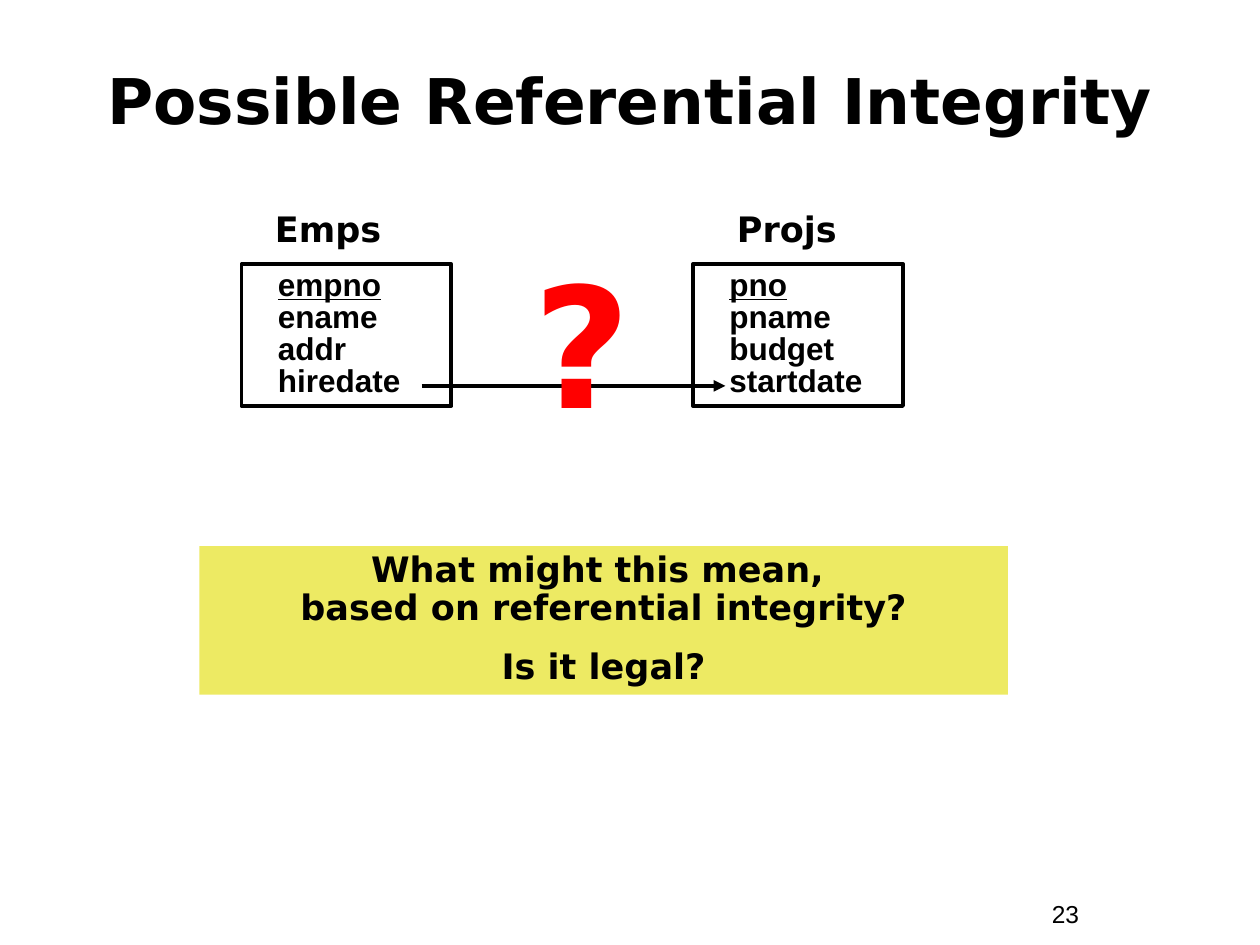
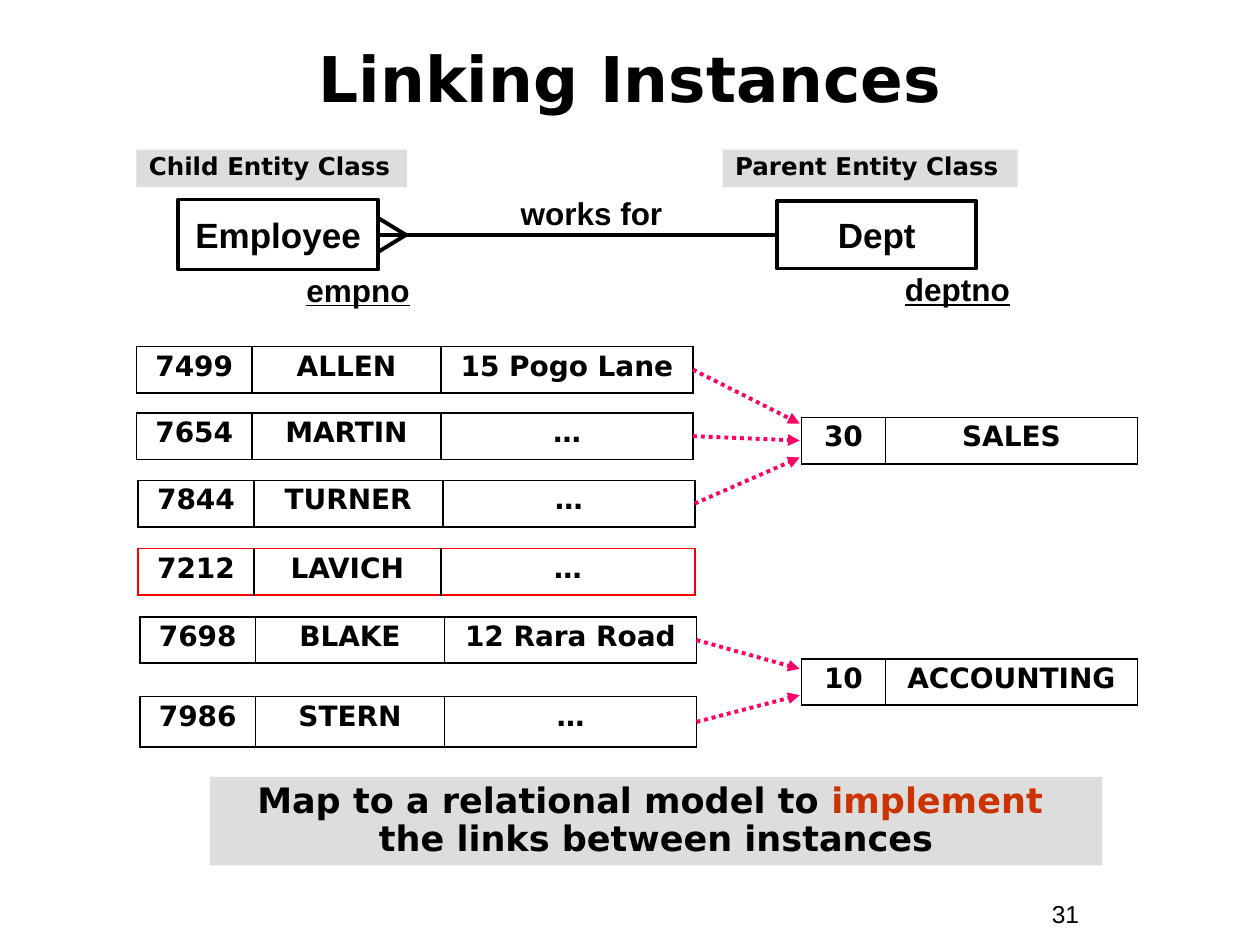
from lxml import etree
from pptx import Presentation
from pptx.dml.color import RGBColor
from pptx.enum.dml import MSO_LINE
from pptx.enum.shapes import MSO_CONNECTOR, MSO_SHAPE
from pptx.enum.text import MSO_ANCHOR, PP_ALIGN
from pptx.oxml.ns import qn
from pptx.util import Pt

BLACK = RGBColor(0x00, 0x00, 0x00)
RED = RGBColor(0xFF, 0x00, 0x00)
PINK = RGBColor(0xFF, 0x00, 0x66)
RUST = RGBColor(0xCC, 0x33, 0x00)
GREY = RGBColor(0xDD, 0xDD, 0xDD)
YELLOW = RGBColor(0xED, 0xEA, 0x63)

SANS = "DejaVu Sans"
ARIAL = "Arial"
LEFT, CENTER = PP_ALIGN.LEFT, PP_ALIGN.CENTER
TOP, MIDDLE = MSO_ANCHOR.TOP, MSO_ANCHOR.MIDDLE
RECT = MSO_SHAPE.RECTANGLE
STRAIGHT = MSO_CONNECTOR.STRAIGHT
DOTTED = MSO_LINE.ROUND_DOT

RULE = 2.25
CELL_RULE = 1.08
EMP_COLS = (66, 108, 144)
DEPT_COLS = (48, 144)
ROW_H = 26.5


def add_run(p, text, size, font=SANS, color=BLACK, bold=True, underline=False):
    r = p.add_run()
    r.text = text
    f = r.font
    f.size, f.name, f.bold, f.underline = Pt(size), font, bold, underline
    f.color.rgb = color


def set_frame(tf, anchor=TOP, wrap=True):
    tf.margin_left = tf.margin_right = Pt(7.2)
    tf.margin_top = tf.margin_bottom = Pt(3.6)
    tf.vertical_anchor = anchor
    tf.word_wrap = wrap


def style_paragraph(p, align=LEFT, spacing=1.0):
    p.alignment = align
    p.line_spacing = spacing
    return p


def add_text(slide, box, text, size, font=SANS, color=BLACK, bold=True,
             underline=False, align=LEFT, spacing=1.0, anchor=TOP):
    tf = slide.shapes.add_textbox(*map(Pt, box)).text_frame
    set_frame(tf, anchor)
    p = style_paragraph(tf.paragraphs[0], align, spacing)
    add_run(p, text, size, font, color, bold, underline)


def add_box(slide, box, fill=None, line=None, anchor=TOP, wrap=True):
    sp = slide.shapes.add_shape(RECT, *map(Pt, box))
    sp.shadow.inherit = False
    if fill is None:
        sp.fill.background()
    else:
        sp.fill.solid()
        sp.fill.fore_color.rgb = fill
    if line is None:
        sp.line.fill.background()
    else:
        sp.line.color.rgb = line
        sp.line.width = Pt(RULE)
    set_frame(sp.text_frame, anchor, wrap)
    return sp.text_frame


def add_line(slide, start, end, color=BLACK, arrow=False, dash=None):
    cx = slide.shapes.add_connector(STRAIGHT, *map(Pt, start + end))
    cx.line.color.rgb = color
    cx.line.width = Pt(RULE)
    if dash is not None:
        cx.line.dash_style = dash
    if arrow:
        tail = etree.SubElement(cx.line._get_or_add_ln(), qn("a:tailEnd"))
        tail.set("type", "triangle")
    etree.SubElement(cx._element.spPr, qn("a:effectLst"))


def add_frame(prs, title, title_top, number):
    slide = prs.slides.add_slide(prs.slide_layouts[6])
    add_text(slide, (24, title_top, 672, 66), title, 36,
             align=CENTER, anchor=MIDDLE)
    add_text(slide, (594, 510, 66, 24), number, 14, ARIAL, bold=False)
    return slide


def add_schema(slide, box, name, name_offset, fields):
    x, y, w, h = box
    add_text(slide, (x + name_offset, y - 36, 96, 32), name, 20)
    tf = add_box(slide, box, line=BLACK)
    for i, field in enumerate(fields):
        p = tf.paragraphs[0] if i == 0 else tf.add_paragraph()
        style_paragraph(p, spacing=0.85)
        p._p.get_or_add_pPr().set("marL", str(Pt(13.7)))
        add_run(p, field, 18, ARIAL, underline=i == 0)


def add_question_panel(slide, box):
    tf = add_box(slide, box, fill=YELLOW)
    p = style_paragraph(tf.paragraphs[0], CENTER, 0.9)
    add_run(p, "What might this mean, ", 20)
    p.add_line_break()
    add_run(p, "based on referential integrity?", 20)
    p = style_paragraph(tf.add_paragraph(), CENTER, 0.9)
    p.space_before = Pt(12.5)
    add_run(p, "Is it legal?", 20)


def add_entity(slide, box, name, key, key_offset):
    x, y, w, h = box
    tf = add_box(slide, box, line=BLACK, anchor=MIDDLE, wrap=False)
    add_run(style_paragraph(tf.paragraphs[0], CENTER), name, 20, ARIAL)
    add_text(slide, (x + key_offset, y + h - 0.5, 84, 27), key, 18, ARIAL,
             underline=True, spacing=0.9)


def add_class_label(slide, box, text):
    tf = add_box(slide, box, fill=GREY)
    add_run(style_paragraph(tf.paragraphs[0], spacing=0.85), text, 14)


def add_relationship(slide, box, name):
    x, y, w, h = box
    mid = y + h / 2
    add_line(slide, (x, mid), (x + w, mid))
    for toe in (y, y + h):
        add_line(slide, (x + 16, mid), (x, toe))
    add_text(slide, (x + 62, mid - 27, 120, 29), name, 18, ARIAL, align=CENTER)


def set_border(cell, colors):
    tcPr = cell._tc.get_or_add_tcPr()
    for i, (side, color) in enumerate(zip("LRTB", colors)):
        ln = etree.Element(qn(f"a:ln{side}"), w=str(Pt(CELL_RULE)))
        fill = etree.SubElement(ln, qn("a:solidFill"))
        etree.SubElement(fill, qn("a:srgbClr"), val=str(color))
        tcPr.insert(i, ln)


def add_record(slide, left, top, cols, values, height=ROW_H, outline=BLACK):
    frame = slide.shapes.add_table(1, len(cols), Pt(left), Pt(top),
                                   Pt(sum(cols)), Pt(height))
    table = frame.table
    table.first_row = table.horz_banding = False
    table.rows[0].height = Pt(height)
    last = len(cols) - 1
    for i, (width, value) in enumerate(zip(cols, values)):
        table.columns[i].width = Pt(width)
        cell = table.cell(0, i)
        cell.fill.background()
        cell.margin_left = cell.margin_right = Pt(7.2)
        cell.margin_top = cell.margin_bottom = Pt(3.6)
        p = style_paragraph(cell.text_frame.paragraphs[0], CENTER, 0.9)
        add_run(p, value, 16)
        set_border(cell, (outline if i == 0 else BLACK,
                          outline if i == last else BLACK, outline, outline))


def add_department(slide, left, top, values, employees, gap):
    add_record(slide, left, top, DEPT_COLS, values)
    mid = top + ROW_H / 2
    for i, (emp_left, emp_top, emp_height, emp_values) in enumerate(employees):
        add_record(slide, emp_left, emp_top, EMP_COLS, emp_values, emp_height)
        port = mid + (i - (len(employees) - 1) / 2) * gap
        add_line(slide, (emp_left + sum(EMP_COLS), emp_top + emp_height / 2),
                 (left - 1, port), PINK, True, DOTTED)


def add_summary(slide, box):
    tf = add_box(slide, box, fill=GREY)
    p = style_paragraph(tf.paragraphs[0], CENTER, 0.9)
    add_run(p, "Map to a relational model to ", 20)
    add_run(p, "implement ", 20, color=RUST)
    p.add_line_break()
    add_run(p, "the links between instances", 20)


def build_integrity(prs):
    slide = add_frame(prs, "Possible Referential Integrity", 24, "23")
    add_schema(slide, (138, 151, 120, 81), "Emps", 12,
               ("empno", "ename", "addr", "hiredate"))
    add_schema(slide, (396, 151, 120, 81), "Projs", 18,
               ("pno", "pname", "budget", "startdate"))
    add_line(slide, (241, 220.5), (414.5, 220.5), arrow=True)
    add_question_panel(slide, (114, 312, 462, 85))
    add_text(slide, (282, 147, 102, 111), "?", 96, color=RED,
             align=CENTER, spacing=0.9)


def build_linking(prs):
    slide = add_frame(prs, "Linking Instances", 11, "31")
    add_department(slide, 458, 238.5, ("30", "SALES"), (
        (78, 198, ROW_H, ("7499", "ALLEN", "15 Pogo Lane")),
        (78, 236, ROW_H, ("7654", "MARTIN", "…")),
        (79, 274.5, ROW_H, ("7844", "TURNER", "…"))), 9.7)
    add_department(slide, 458, 376.5, ("10", "ACCOUNTING"), (
        (80, 352.5, ROW_H, ("7698", "BLAKE", "12 Rara Road")),
        (80, 398, 29, ("7986", "STERN", "…"))), 15)
    add_record(slide, 79, 313.5, (66, 107, 145), ("7212", "LAVICH", "…"),
               outline=RED)
    add_entity(slide, (444, 115, 114, 38.5), "Dept", "deptno", 66)
    add_entity(slide, (102, 114, 114, 40), "Employee", "empno", 66)
    add_relationship(slide, (216, 124.5, 228, 19.5), "works for")
    add_class_label(slide, (78, 85.5, 154.5, 21.5), "Child Entity Class")
    add_class_label(slide, (413, 85.5, 168.5, 21.5), "Parent Entity Class")
    add_summary(slide, (120, 444, 510, 50.5))


def main():
    prs = Presentation()
    prs.slide_width, prs.slide_height = Pt(720), Pt(540)
    build_integrity(prs)
    build_linking(prs)
    prs.save("out.pptx")


if __name__ == "__main__":
    main()
